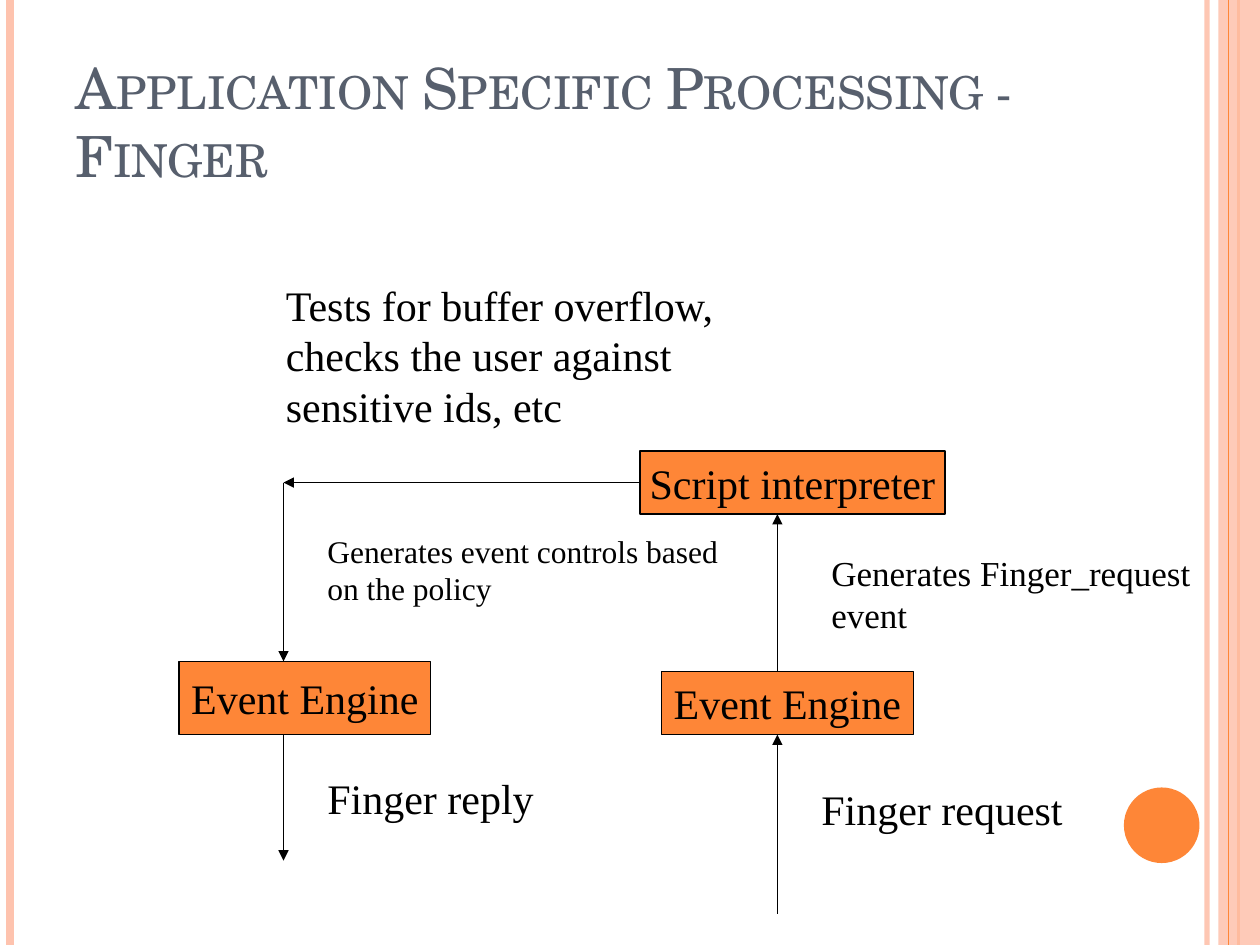
from lxml import etree
from pptx import Presentation
from pptx.dml.color import RGBColor
from pptx.enum import shapes, text
from pptx.oxml.ns import qn
from pptx.util import Inches, Pt

ORANGE, PEACH, SLATE, BLACK = "FE8637", "FEC3AE", "575F6D", "000000"
TITLE_FONT, BODY_FONT = "TeX Gyre Schola", "Times New Roman"
WIDTH, HEIGHT = 10, 7.5

TITLE = ("Application Specific Processing - Finger", (0.5, 0.3, 8.17, 1.25))

# x, colour, points, opacity in percent
STRIPES_BEHIND = [(9.58, PEACH, 3, 93), (0.08, PEACH, 4.5, 100), (9.83, ORANGE, 1.5, 100)]
STRIPE_IN_FRONT = (9.75, ORANGE, 0.75, 100)
BAND = (9.67, 0, 0.33, HEIGHT)
BAND_OPACITY = 87
DISC = (8.92, 6.25, 0.6, 0.6)

BOXES = [
    ("Event Engine", (5.25, 5.33, 2, 0.5)),
    ("Script interpreter", (5.08, 3.58, 2.42, 0.5)),
    ("Event Engine", (1.42, 5.25, 2, 0.58)),
]
REQUEST_X, REPLY_X, TURN_Y = 6.17, 2.25, 3.83
ARROWS = [
    ((REQUEST_X, 7.25), (REQUEST_X, 5.83)),
    ((REQUEST_X, 5.33), (REQUEST_X, 4.08)),
    ((5.08, TURN_Y), (REPLY_X, TURN_Y)),
    ((REPLY_X, TURN_Y), (REPLY_X, 5.25)),
    ((REPLY_X, 5.83), (REPLY_X, 6.83)),
]
LABELS = [
    ("Finger request", 24, (6.42, 6.17, 2.83, 0.5)),
    ("Generates Finger_request event", 20, (6.5, 4.33, 3.5, 0.77)),
    ("Tests for buffer overflow, checks the user against sensitive ids, etc", 24,
     (2.17, 2.17, 3.92, 1.3)),
    ("Generates event controls based on the policy", 18, (2.5, 4.17, 3.33, 0.7)),
    ("Finger reply", 24, (2.5, 6.08, 2.33, 0.5)),
]


def rgb(value):
    return RGBColor.from_string(value)


def lengths(values):
    return [Inches(value) for value in values]


def set_opacity(element, percent):
    """Make the solid colour found inside the element partly transparent."""
    color = next(element.iter(qn("a:srgbClr")))
    etree.SubElement(color, qn("a:alpha"), val=str(percent * 1000))


def add_line(slide, start, end, color, points, opacity=100, arrow=False):
    line = slide.shapes.add_connector(
        shapes.MSO_CONNECTOR.STRAIGHT, *lengths(start + end))
    line.line.color.rgb = rgb(color)
    line.line.width = Pt(points)
    properties = line.line._get_or_add_ln()
    if opacity < 100:
        set_opacity(properties, opacity)
    if arrow:
        etree.SubElement(properties, qn("a:tailEnd"), type="triangle")
    etree.SubElement(line._element.spPr, qn("a:effectLst"))


def add_stripe(slide, x, color, points, opacity):
    add_line(slide, (x, 0), (x, HEIGHT), color, points, opacity)


def add_filled(slide, kind, place, color):
    shape = slide.shapes.add_shape(kind, *lengths(place))
    shape.shadow.inherit = False
    shape.fill.solid()
    shape.fill.fore_color.rgb = rgb(color)
    shape.line.fill.background()
    return shape


def write(shape, words, size, font=BODY_FONT, color=BLACK, wrap=True,
          anchor=text.MSO_ANCHOR.TOP, align=text.PP_ALIGN.LEFT):
    frame = shape.text_frame
    frame.word_wrap = wrap
    frame.vertical_anchor = anchor
    paragraph = frame.paragraphs[0]
    paragraph.alignment = align
    run = paragraph.add_run()
    run.text = words
    run.font.size = Pt(size)
    run.font.name = font
    run.font.color.rgb = rgb(color)
    return run


def add_box(slide, words, place):
    box = add_filled(slide, shapes.MSO_SHAPE.RECTANGLE, place, ORANGE)
    box.line.color.rgb = rgb(BLACK)
    box.line.width = Pt(0.75)
    write(box, words, 24, wrap=False, anchor=text.MSO_ANCHOR.MIDDLE,
          align=text.PP_ALIGN.CENTER)


def main():
    presentation = Presentation()
    presentation.slide_width, presentation.slide_height = lengths((WIDTH, HEIGHT))
    slide = presentation.slides.add_slide(presentation.slide_layouts[6])

    for stripe in STRIPES_BEHIND:
        add_stripe(slide, *stripe)
    band = add_filled(slide, shapes.MSO_SHAPE.RECTANGLE, BAND, PEACH)
    set_opacity(band._element.spPr, BAND_OPACITY)
    add_stripe(slide, *STRIPE_IN_FRONT)
    add_filled(slide, shapes.MSO_SHAPE.OVAL, DISC, ORANGE)

    words, place = TITLE
    title = slide.shapes.add_textbox(*lengths(place))
    run = write(title, words, 32.4, TITLE_FONT, SLATE, anchor=text.MSO_ANCHOR.BOTTOM)
    run.font._element.set("cap", "small")

    for start, end in ARROWS:
        add_line(slide, start, end, BLACK, 0.75, arrow=True)
    for words, place in BOXES:
        add_box(slide, words, place)
    for words, size, place in LABELS:
        write(slide.shapes.add_textbox(*lengths(place)), words, size)

    presentation.save("out.pptx")


if __name__ == "__main__":
    main()
